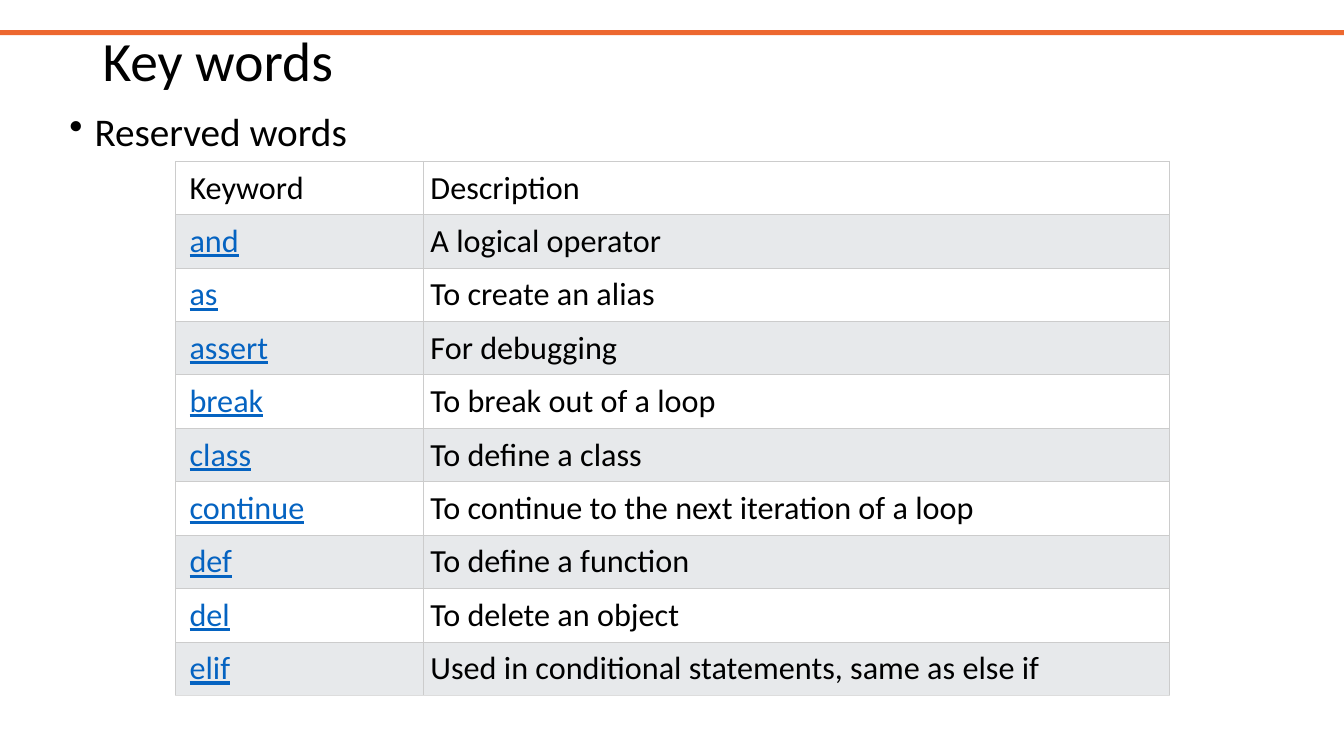
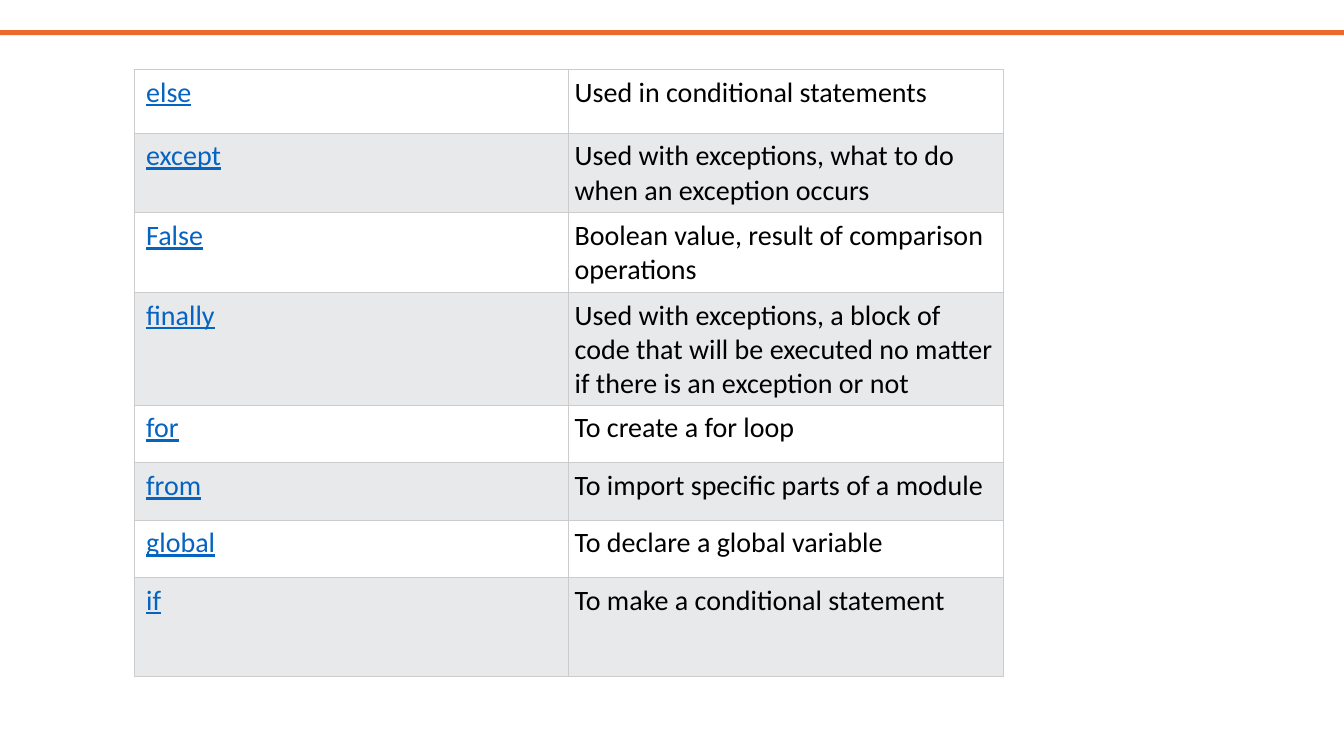
from dataclasses import dataclass

from lxml import etree
from pptx import Presentation
from pptx.dml.color import RGBColor
from pptx.enum.shapes import MSO_SHAPE
from pptx.enum.text import MSO_ANCHOR
from pptx.oxml.ns import qn
from pptx.util import Emu, Pt

RECT = MSO_SHAPE.RECTANGLE
MIDDLE = MSO_ANCHOR.MIDDLE
SCALE = 9144
WIDTH, HEIGHT = 1333, 750


@dataclass(frozen=True)
class Theme:
    face: str = "Calibri"
    ink: str = "000000"
    link: str = "0563C1"
    band: str = "ED682F"
    plain: str = "FFFFFF"
    stripe: str = "E7E9EB"
    rule: str = "CCCCCC"
    foot: str = "DDDDDD"
    title: float = 39.6
    body: float = 28
    large: float = 23
    small: float = 20
    hair: float = 0.75


THEME = Theme()

FIRST = [
    ("Keyword", "Description"),
    ("and", "A logical operator"),
    ("as", "To create an alias"),
    ("assert", "For debugging"),
    ("break", "To break out of a loop"),
    ("class", "To define a class"),
    ("continue", "To continue to the next iteration of a loop"),
    ("def", "To define a function"),
    ("del", "To delete an object"),
    ("elif", "Used in conditional statements, same as else if"),
]
SECOND = [
    ("else", "Used in conditional statements"),
    ("except", "Used with exceptions, what to do when an exception occurs"),
    ("False", "Boolean value, result of comparison operations"),
    ("finally", "Used with exceptions, a block of code that will be executed "
                "no matter if there is an exception or not"),
    ("for", "To create a for loop"),
    ("from", "To import specific parts of a module"),
    ("global", "To declare a global variable"),
    ("if", "To make a conditional statement"),
]


def px(*sizes):
    return [Emu(size * SCALE) for size in sizes]


def paint(fill, color):
    fill.solid()
    fill.fore_color.rgb = RGBColor.from_string(color)


def style(para, size, color=THEME.ink):
    font = para.font
    font.name = THEME.face
    font.size = Pt(size)
    font.color.rgb = RGBColor.from_string(color)


def add_slide(deck):
    slide = deck.slides.add_slide(deck.slide_layouts[6])
    band = slide.shapes.add_shape(RECT, *px(0, 30, WIDTH, 5))
    band.shadow.inherit = False
    paint(band.fill, THEME.band)
    band.line.fill.background()
    return slide


def add_text(slide, box, text, size):
    frame = slide.shapes.add_textbox(*px(*box)).text_frame
    frame.word_wrap = True
    para = frame.paragraphs[0]
    para.text = text
    para.line_spacing = 0.9
    style(para, size)
    return frame


def add_title(slide, text):
    frame = add_text(slide, (92, 40, 1150, 46), text, THEME.title)
    frame.vertical_anchor = MIDDLE


def add_bullet(slide, text):
    frame = add_text(slide, (59, 107, 1150, 476), text, THEME.body)
    para = frame.paragraphs[0]
    para.space_before = Pt(10)
    props = para._p.get_or_add_pPr()
    indent, = px(25)
    props.set("marL", str(indent))
    props.set("indent", str(-indent))
    mark = etree.Element(qn("a:buChar"), char="•")
    props.find(qn("a:defRPr")).addprevious(mark)


def add_edges(cell, foot):
    props = cell._tc.get_or_add_tcPr()
    for spot, side in enumerate("LRTB"):
        edge = etree.Element(qn(f"a:ln{side}"), w=str(Pt(THEME.hair)))
        fill = etree.SubElement(edge, qn("a:solidFill"))
        color = foot if side == "B" else THEME.rule
        etree.SubElement(fill, qn("a:srgbClr"), val=color)
        props.insert(spot, edge)


def fill_cell(cell, text, size, pad, left, shade, foot, linked):
    cell.margin_left, cell.margin_right = px(left, pad)
    cell.margin_top, cell.margin_bottom = px(pad, pad)
    para = cell.text_frame.paragraphs[0]
    para.text = text
    style(para, size, THEME.link if linked else THEME.ink)
    para.font.underline = linked
    paint(cell.fill, shade)
    add_edges(cell, foot)


def add_table(slide, spot, cols, rows, data, size, pad,
              head=False, foot=THEME.rule):
    box = px(*spot, sum(cols), sum(rows))
    table = slide.shapes.add_table(len(rows), len(cols), *box).table
    table.first_row = table.horz_banding = False
    for col, width in zip(table.columns, px(*cols)):
        col.width = width
    for row, height in zip(table.rows, px(*rows)):
        row.height = height
    for r, words in enumerate(data):
        shade = THEME.stripe if r % 2 else THEME.plain
        edge = foot if r == len(data) - 1 else THEME.rule
        for c, text in enumerate(words):
            left = pad if c else 2 * pad
            linked = c == 0 and not (head and r == 0)
            fill_cell(table.cell(r, c), text, size, pad, left,
                      shade, edge, linked)


def main():
    deck = Presentation()
    deck.slide_width, deck.slide_height = px(WIDTH, HEIGHT)

    slide = add_slide(deck)
    add_title(slide, "Key words")
    add_bullet(slide, "Reserved words")
    add_table(slide, (174, 160), (246, 740), [53] * len(FIRST), FIRST,
              THEME.large, 7, head=True, foot=THEME.foot)

    slide = add_slide(deck)
    add_table(slide, (133, 69), (431, 431),
              (63, 79, 79, 112, 57, 57, 57, 98), SECOND, THEME.small, 6)

    deck.save("out.pptx")


if __name__ == "__main__":
    main()
